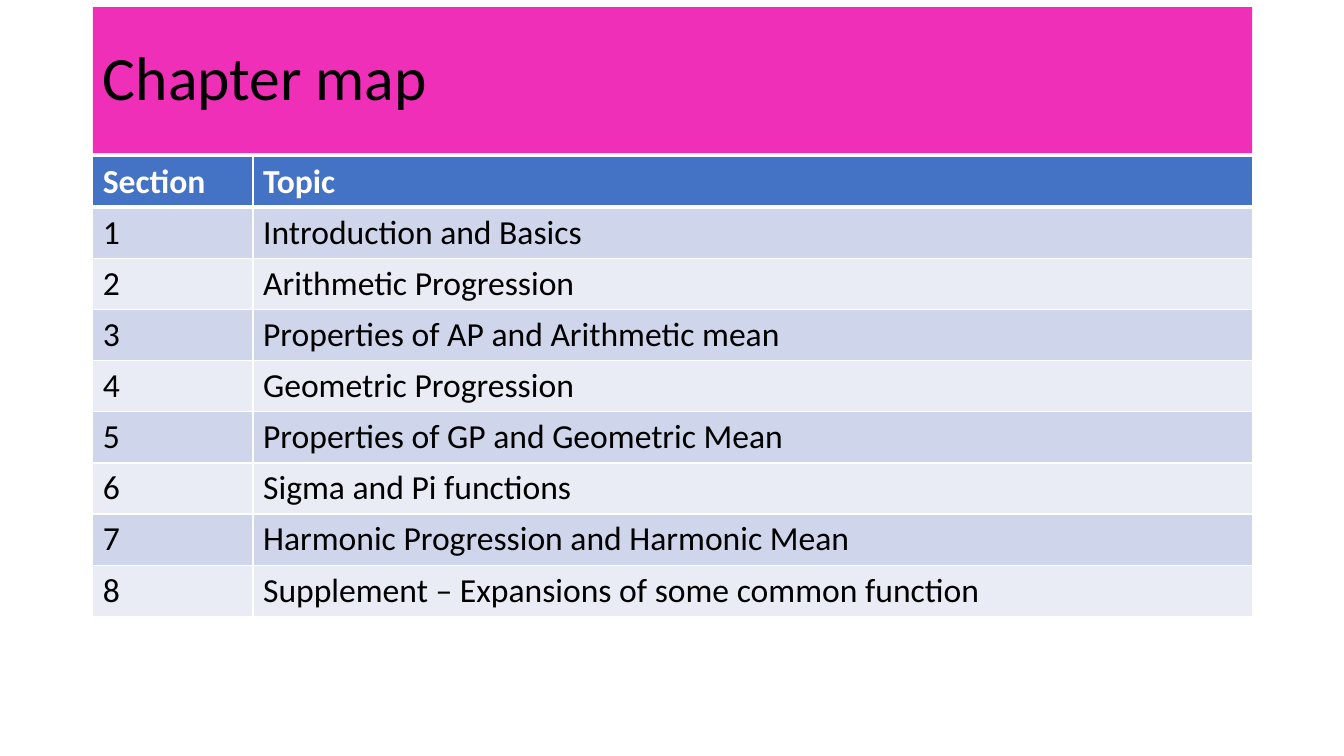
"""Build the chapter map slide: a title band above a table of sections."""
from dataclasses import dataclass

from lxml import etree
from pptx import Presentation
from pptx.dml.color import RGBColor
from pptx.enum.text import MSO_ANCHOR, PP_ALIGN
from pptx.oxml.ns import qn
from pptx.util import Inches, Pt

LEFT = PP_ALIGN.LEFT
MIDDLE = MSO_ANCHOR.MIDDLE
TITLE_ONLY = 5


@dataclass(frozen=True)
class Theme:
    font: str = "Calibri"
    title_size: int = 44
    table_size: int = 24
    band: str = "EF2FB8"
    header: str = "4472C4"
    odd_row: str = "CFD5EA"
    even_row: str = "E9EBF5"
    dark: str = "000000"
    light: str = "FFFFFF"
    rule: int = 1
    header_rule: int = 3


THEME = Theme()
TOPICS = [
    "Introduction and Basics",
    "Arithmetic Progression",
    "Properties of AP and Arithmetic mean",
    "Geometric Progression",
    "Properties of GP and Geometric Mean",
    "Sigma and Pi functions",
    "Harmonic Progression and Harmonic Mean",
    "Supplement – Expansions of some common function",
]


def style_text(paragraph, size, color, bold=False):
    """Format every run of a paragraph."""
    for run in paragraph.runs:
        run.font.name = THEME.font
        run.font.size = Pt(size)
        run.font.bold = bold
        run.font.color.rgb = RGBColor.from_string(color)


def add_border(cell, side, width):
    """Draw a light rule along one side of a cell."""
    line = etree.SubElement(cell._tc.get_or_add_tcPr(), qn(f"a:ln{side}"), w=str(Pt(width)))
    fill = etree.SubElement(line, qn("a:solidFill"))
    etree.SubElement(fill, qn("a:srgbClr"), val=THEME.light)


prs = Presentation()
prs.slide_width, prs.slide_height = Inches(13.33), Inches(7.5)
slide = prs.slides.add_slide(prs.slide_layouts[TITLE_ONLY])

title = slide.shapes.title
title.left, title.top = Inches(0.92), Inches(0.07)
title.width, title.height = Inches(11.5), Inches(1.45)
title.fill.solid()
title.fill.fore_color.rgb = RGBColor.from_string(THEME.band)
title.text_frame.text = "Chapter map"
title.text_frame.vertical_anchor = MIDDLE
heading = title.text_frame.paragraphs[0]
heading.alignment = LEFT
heading.line_spacing = 0.9
style_text(heading, THEME.title_size, THEME.dark)

rows = [("Section", "Topic")] + [(str(n), topic) for n, topic in enumerate(TOPICS, 1)]
chapter_map = slide.shapes.add_table(
    len(rows), 2, Inches(0.92), Inches(1.55), Inches(11.5), Inches(0.5) * len(rows)
).table
for column, width in zip(chapter_map.columns, (1.59, 9.91)):
    column.width = Inches(width)

for r, row in enumerate(rows):
    is_header = r == 0
    row_fill = THEME.header if is_header else (THEME.even_row, THEME.odd_row)[r % 2]
    text_color = THEME.light if is_header else THEME.dark
    top_rule = THEME.header_rule if r == 1 else THEME.rule
    bottom_rule = THEME.header_rule if is_header else THEME.rule
    for c, text in enumerate(row):
        cell = chapter_map.cell(r, c)
        cell.text_frame.text = text
        style_text(cell.text_frame.paragraphs[0], THEME.table_size, text_color, is_header)
        for side, width in zip("LRTB", (THEME.rule, THEME.rule, top_rule, bottom_rule)):
            add_border(cell, side, width)
        cell.fill.solid()
        cell.fill.fore_color.rgb = RGBColor.from_string(row_fill)

prs.save("out.pptx")
